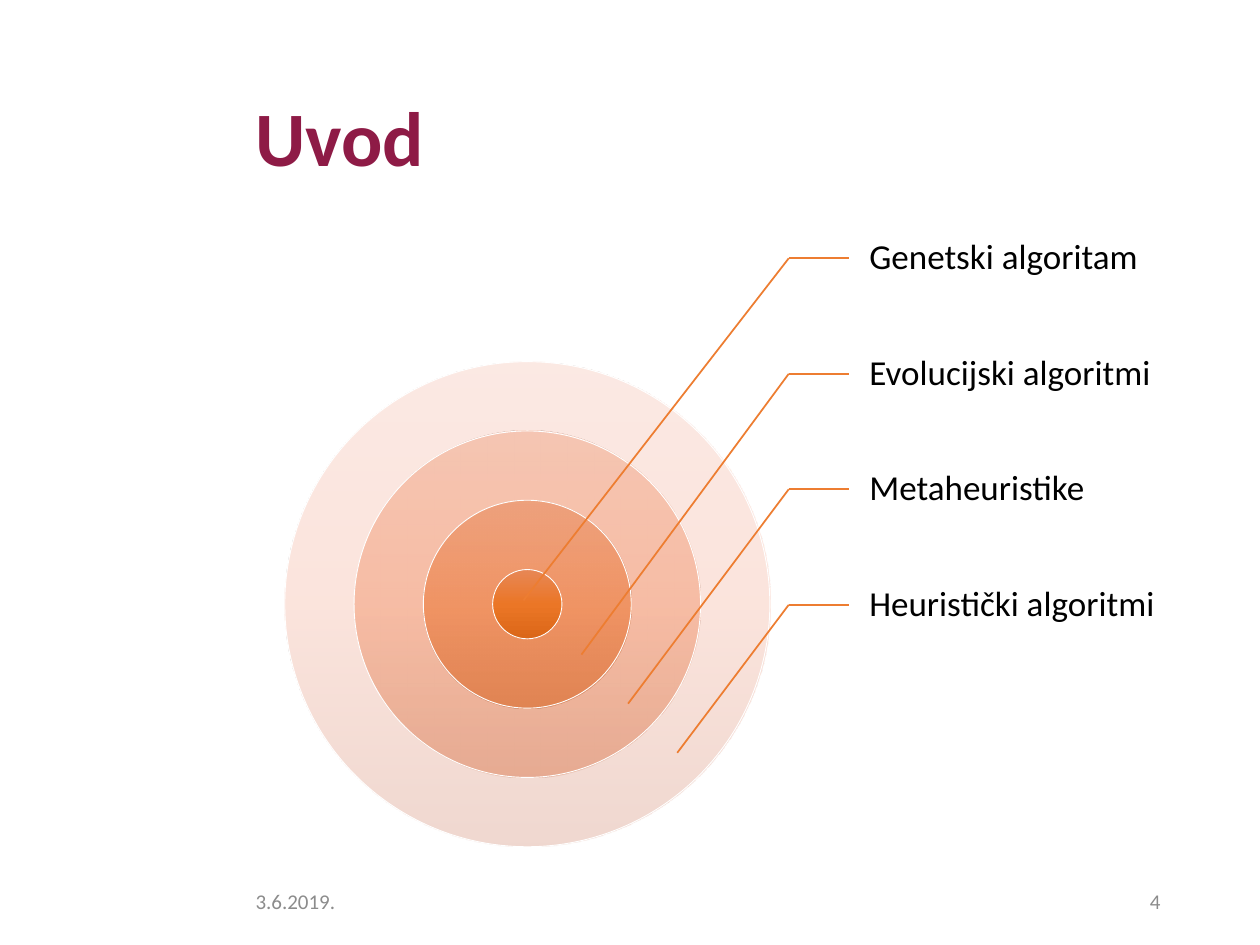
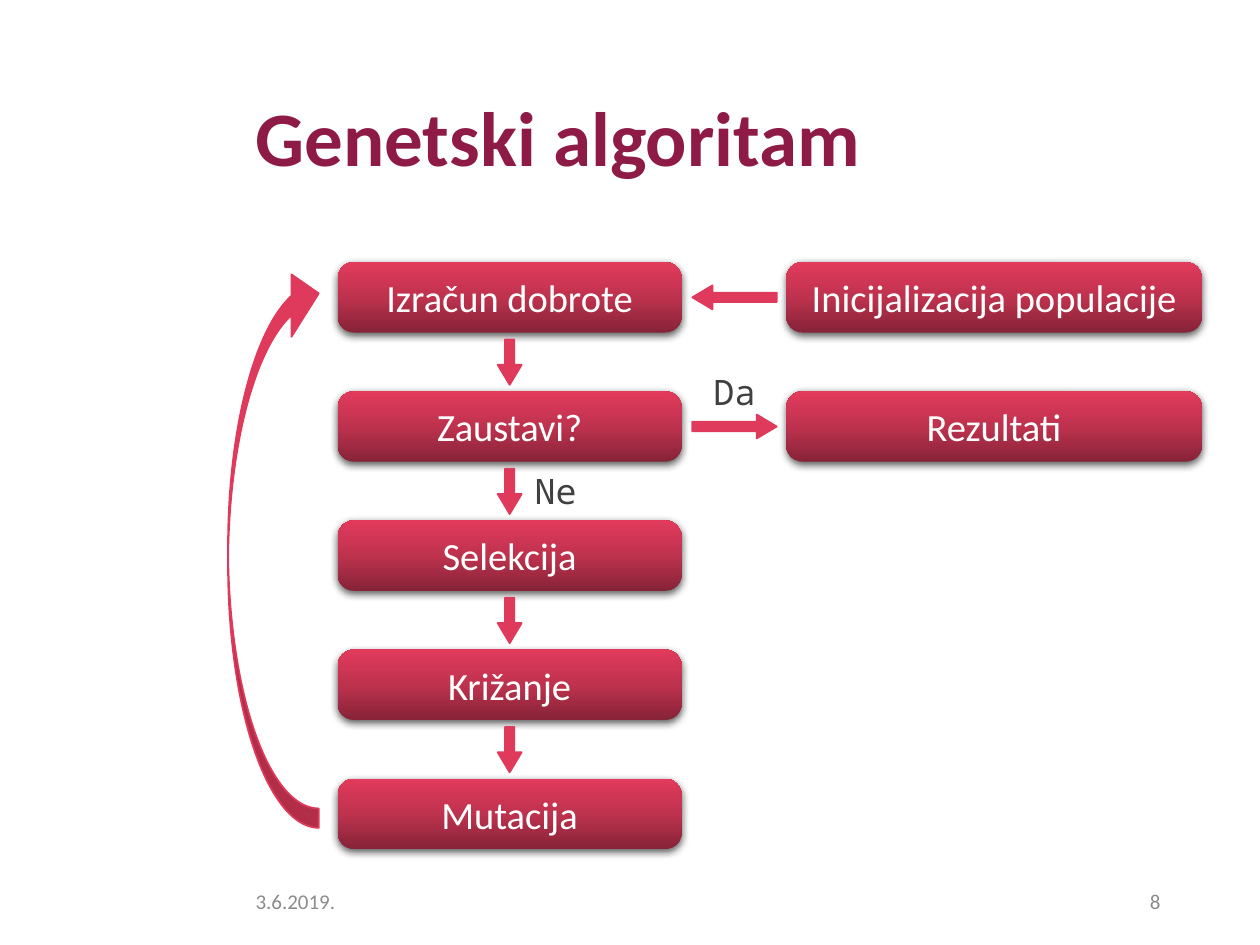
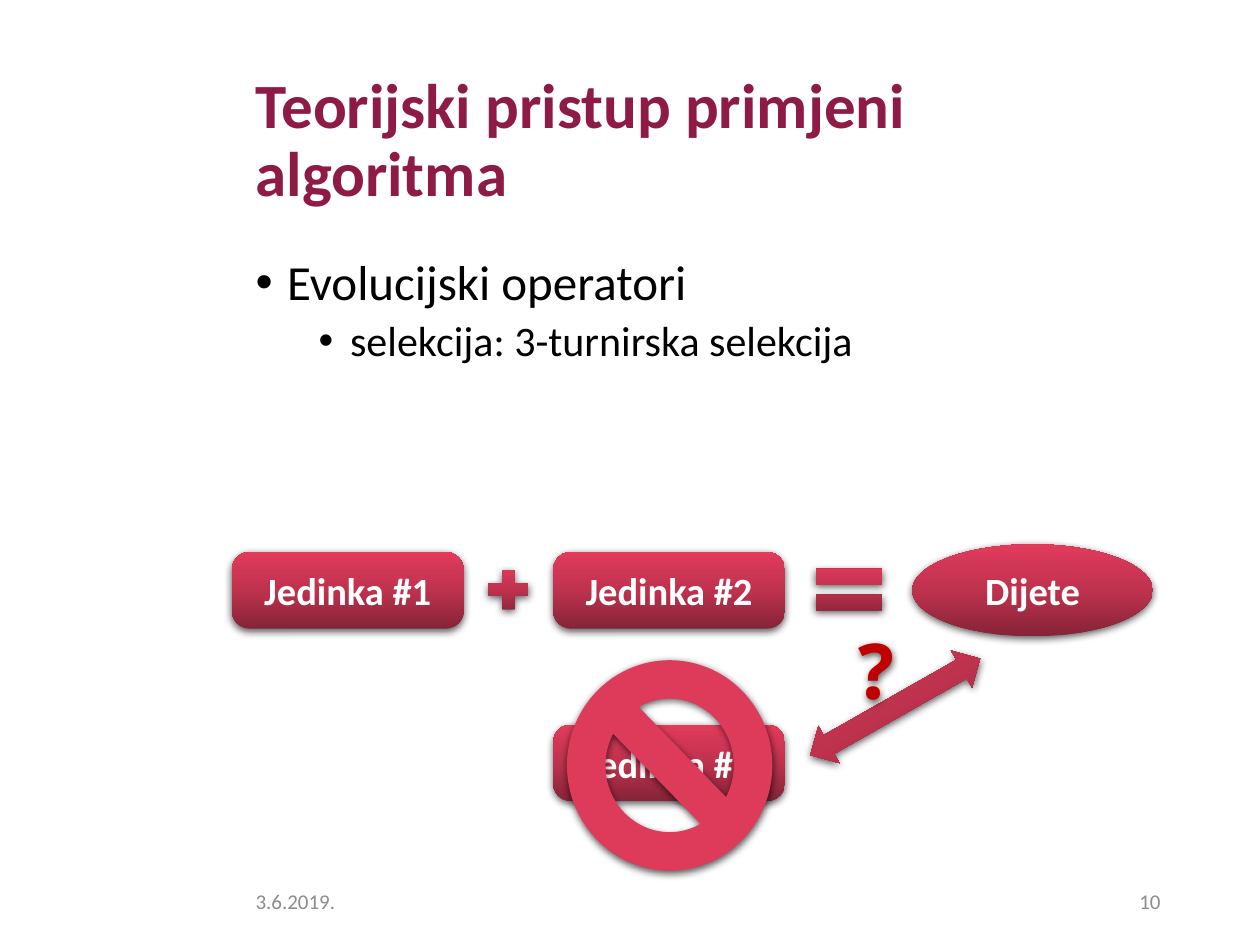
from lxml import etree
from pptx import Presentation
from pptx.dml.color import RGBColor
from pptx.enum import shapes, text
from pptx.oxml.ns import qn
from pptx.util import Inches, Pt

SHAPE = shapes.MSO_SHAPE
ALIGN = text.PP_ALIGN
ANCHOR = text.MSO_ANCHOR
COLORS = {
    "title": "8E1B46", "footer": "8C8C8C", "body": "000000", "white": "FFFFFF",
    "arrow": "DF3A5B", "ban": "DE3A5A", "callout": "ED7D31",
    "note": "404040", "question": "C00000", "shadow": "000000",
}
# Gradients: three colours from start to end
RED = ("862337", "BE324E", "E23B5C")
RINGS = [  # outermost first: diameter in units, opacity in percent, colours
    (7, 50, ("F9D5CA", "F9CBBC", "E2B2A2")),
    (5, 67, ("F3B69D", "F5AA8A", "E09474")),
    (3, 83, ("ED9C75", "F08D58", "DE7B46")),
    (1, 100, ("E78756", "EB7626", "DB6718")),
]
DATE = "3.6.2019."


def rgb(name):
    return RGBColor.from_string(COLORS[name])


def node(parent, tag, **attributes):
    child = etree.SubElement(parent, qn(tag))
    for key, value in attributes.items():
        child.set(key, str(value))
    return child


def color_node(parent, value, opacity=100):
    color = node(parent, "a:srgbClr", val=value)
    if opacity < 100:
        node(color, "a:alpha", val=opacity * 1000)


# Shared formatting
def write(frame, words, size=22, color="white", font="Calibri", bold=False,
          align=ALIGN.LEFT, anchor=ANCHOR.MIDDLE, inset=None, spacing=None,
          before=0, bullet_at=None, outline=None, first=True):
    """Write one paragraph into a text frame."""
    frame.word_wrap = True
    frame.vertical_anchor = anchor
    if inset:
        (frame.margin_left, frame.margin_top,
         frame.margin_right, frame.margin_bottom) = map(Inches, inset)
    paragraph = frame.paragraphs[0] if first else frame.add_paragraph()
    paragraph.alignment = align
    paragraph.space_before = Pt(before)
    if spacing:
        paragraph.line_spacing = spacing
    if bullet_at is not None:
        props = paragraph._p.get_or_add_pPr()
        props.set("marL", str(Inches(bullet_at)))
        props.set("indent", str(Inches(-0.25)))
        node(props, "a:buFont", typeface="Arial")
        node(props, "a:buChar", char="•")
    run = paragraph.add_run()
    run.text = words
    run.font.size, run.font.name, run.font.bold = Pt(size), font, bold
    run.font.color.rgb = rgb(color)
    if outline:
        props = run._r.get_or_add_rPr()
        line = node(props, "a:ln", w=Pt(outline))
        color_node(node(line, "a:solidFill"), COLORS[color])
        props.insert(0, line)


def label(slide, box, words, **style):
    holder = slide.shapes.add_textbox(*map(Inches, box))
    write(holder.text_frame, words, **style)
    return holder


def cast_shadow(shape):
    shape.shadow.inherit = False
    effects = shape._element.spPr.find(qn("a:effectLst"))
    shadow = node(effects, "a:outerShdw", blurRad=Pt(4.5), dist=Pt(1.5),
                  dir=5400000, algn="ctr", rotWithShape=0)
    color_node(shadow, COLORS["shadow"], 63)


def figure(slide, kind, box, adjust=(), rotation=0):
    shape = slide.shapes.add_shape(kind, *map(Inches, box))
    for index, value in enumerate(adjust):
        shape.adjustments[index] = value
    shape.rotation = rotation
    shape.shadow.inherit = False
    shape.line.fill.background()
    return shape


def shade(shape, colors, angle, opacity=100):
    shape.fill.gradient()
    shape.fill.gradient_angle = angle
    stops = shape._element.spPr.find(qn("a:gradFill")).find(qn("a:gsLst"))
    for stop in list(stops):
        stops.remove(stop)
    for index, color in enumerate(colors):
        color_node(node(stops, "a:gs", pos=index * 50000), color, opacity)


def glossy(slide, kind, box, words=None, bold=False, adjust=(), rotation=0):
    """Add a red gradient part with a shadow and an optional caption."""
    shape = figure(slide, kind, box, adjust, rotation)
    shade(shape, RED, 90)
    cast_shadow(shape)
    if words:
        write(shape.text_frame, words, bold=bold, align=ALIGN.CENTER)


def card(slide, box, words, bold=False):
    glossy(slide, SHAPE.ROUNDED_RECTANGLE, box, words, bold, adjust=(0.234,))


def flat_arrow(slide, kind, box, adjust, rotation=0):
    arrow = figure(slide, kind, box, adjust, rotation)
    arrow.fill.solid()
    arrow.fill.fore_color.rgb = arrow.line.color.rgb = rgb("arrow")
    arrow.line.width = Pt(1)


def step_arrow(slide, center_x, center_y, length, rotation=0):
    width = 0.19
    box = (center_x - width / 2, center_y - length / 2, width, length)
    flat_arrow(slide, SHAPE.DOWN_ARROW, box, (0.393, 0.835), rotation)


def callout_line(slide, start, end):
    line = slide.shapes.add_connector(shapes.MSO_CONNECTOR.STRAIGHT,
                                      *map(Inches, start + end))
    line.line.color.rgb = rgb("callout")
    line.line.width = Pt(1)
    node(line._element.spPr, "a:effectLst")


def new_slide(deck, title, number, title_size=44):
    """Start a slide with its title, date and number."""
    slide = deck.slides.add_slide(deck.slide_layouts[6])
    label(slide, (1.93, 0.4, 7.39, 1.45), title, size=title_size,
          color="title", bold=True, spacing=0.9)
    footer = {"size": 12, "color": "footer"}
    label(slide, (1.93, 6.95, 1.84, 0.4), DATE, **footer)
    label(slide, (7.78, 6.95, 1.53, 0.4), str(number), align=ALIGN.RIGHT, **footer)
    return slide


# Concentric circles with callouts
def nested_sets(slide, left, top, unit):
    outer = RINGS[0][0] * unit
    center_x, center_y = left + outer / 2, top + outer / 2
    for units, opacity, colors in RINGS:
        size = units * unit
        ring = figure(slide, SHAPE.OVAL,
                      (center_x - size / 2, center_y - size / 2, size, size))
        shade(ring, colors, 270, opacity)
        ring.line.color.rgb = rgb("white")
        ring.line.width = Pt(0.5)

    callouts = [  # caption, target relative to the centre
        ("Genetski algoritam", -0.03, -0.03),
        ("Evolucijski algoritmi", 0.43, 0.4),
        ("Metaheuristike", 0.8, 0.79),
        ("Heuristički algoritmi", 1.19, 1.18),
    ]
    pitch = outer / 4.2
    bend_x, text_x = left + 4, left + 4.48
    for row, (words, dx, dy) in enumerate(callouts):
        y = top - 0.82 + row * pitch
        label(slide, (text_x, y - pitch / 2, 2.6, pitch), words, size=20,
              color="body", inset=(0.16, 0.03, 0.03, 0.03), spacing=0.9)
        callout_line(slide, (bend_x, y), (text_x, y))
        callout_line(slide, (bend_x, y), (center_x + dx, center_y + dy))


# Flow chart of the algorithm
def algorithm_flow(slide, left, top, width, height):
    steps = ["Izračun dobrote", "Zaustavi?", "Selekcija", "Križanje", "Mutacija"]
    card_height, side_width = 0.56, 3.3
    pitch = (height - card_height) / (len(steps) - 1)
    side_left = left + width + 0.83
    for row, words in enumerate(steps):
        y = top + row * pitch
        card(slide, (left, y, width, card_height), words)
        if row:
            step_arrow(slide, left + width / 2, y - 0.23, 0.36)

    # Start and end beside the first two steps
    sides = [("Inicijalizacija populacije", 90), ("Rezultati", 270)]
    for row, (words, rotation) in enumerate(sides):
        y = top + row * pitch
        card(slide, (side_left, y, side_width, card_height), words)
        step_arrow(slide, left + width + 0.42, y + card_height / 2, 0.67, rotation)

    # Loop back to the first step
    flat_arrow(slide, SHAPE.CURVED_LEFT_ARROW, (left - 0.87, top, 0.72, 4.49),
               (0.214, 0.689, 0.302), 180)

    # Answers at the decision
    for words, dx, dy in [("Da", 2.88, 0.81), ("Ne", 1.46, 1.6)]:
        label(slide, (left + dx, top + dy, 0.54, 0.44), words, size=20,
              color="note", font="Noto Sans Mono", align=ALIGN.CENTER,
              anchor=ANCHOR.TOP, inset=(0.05, 0.05, 0.05, 0.05))


# Bulleted list
def bullets(slide, box, items):
    frame = slide.shapes.add_textbox(*map(Inches, box)).text_frame
    for index, (words, size, indent, before) in enumerate(items):
        write(frame, words, size=size, color="body", anchor=ANCHOR.TOP,
              spacing=0.9, before=before, bullet_at=indent, first=index == 0)


# Two parents, their child and the rejected third individual
def tournament(slide, left, top):
    width, height = 1.84, 0.61
    second = left + 2.55
    for x, y, number in [(left, top, 1), (second, top, 2), (second, top + 1.37, 3)]:
        card(slide, (x, y, width, height), f"Jedinka #{number}", bold=True)
    glossy(slide, SHAPE.OVAL, (left + 5.4, top - 0.06, 1.91, 0.73), "Dijete", bold=True)

    glossy(slide, SHAPE.MATH_PLUS, (left + 1.98, top + 0.09, 0.43, 0.42))
    glossy(slide, SHAPE.MATH_EQUAL, (left + 4.54, top + 0.09, 0.72, 0.42),
           adjust=(0.301, 0.184))

    ban = figure(slide, SHAPE.NO_SYMBOL, (left + 2.66, top + 0.86, 1.63, 1.67))
    ban.fill.solid()
    ban.fill.fore_color.rgb = rgb("ban")
    cast_shadow(ban)

    glossy(slide, SHAPE.LEFT_RIGHT_ARROW, (left + 4.49, top + 1.06, 1.55, 0.34),
           rotation=330.4)
    question = label(slide, (left + 4.83, top + 0.51, 0.61, 0.84), "?", size=44,
                     color="question", font="Noto Sans Mono", bold=True,
                     anchor=ANCHOR.TOP, outline=1.75)
    cast_shadow(question)


def main():
    deck = Presentation()
    deck.slide_width, deck.slide_height = Inches(10), Inches(7.5)

    nested_sets(new_slide(deck, "Uvod", 4), 2.26, 2.87, 0.55)

    algorithm_flow(new_slide(deck, "Genetski algoritam", 8), 2.68, 2.08, 2.73, 4.66)

    theory = new_slide(deck, "Teorijski pristup primjeni algoritma", 10, 36)
    bullets(theory, (1.93, 2, 7.39, 1.94), [
        ("Evolucijski operatori", 28, 0.25, 10),
        ("selekcija: 3-turnirska selekcija", 24, 0.75, 5),
    ])
    tournament(theory, 1.84, 4.38)

    deck.save("out.pptx")


if __name__ == "__main__":
    main()
